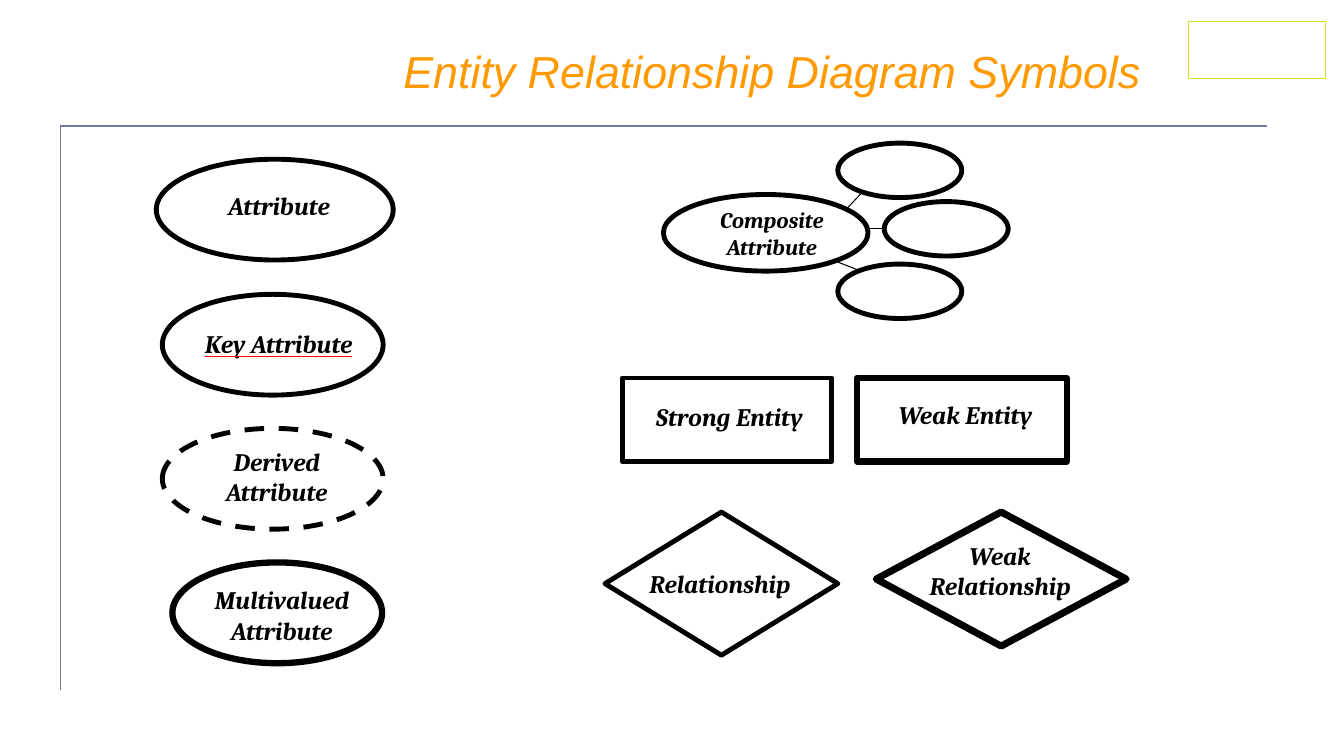
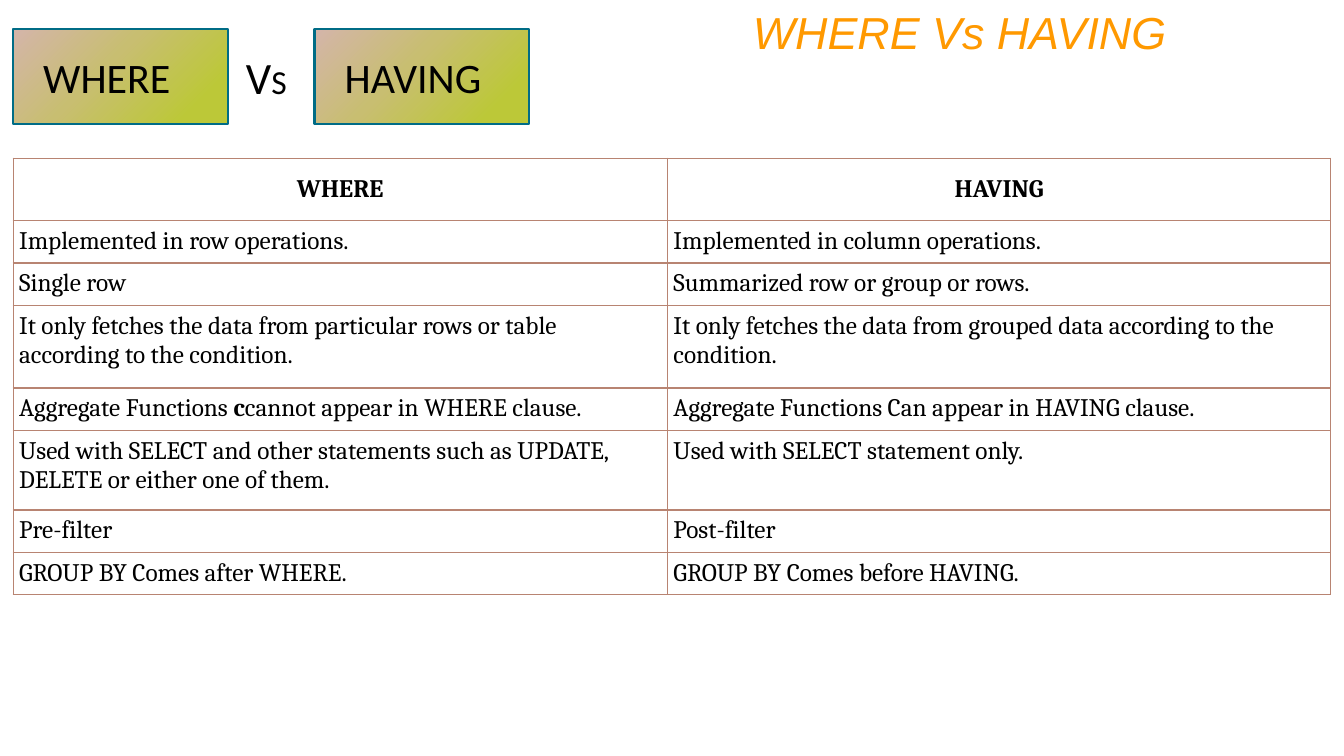
"""Build two slides: ER diagram symbols and a WHERE versus HAVING comparison."""
from lxml.etree import SubElement
from pptx import Presentation
from pptx.dml.color import RGBColor
from pptx.enum.dml import MSO_LINE
from pptx.enum.shapes import MSO_CONNECTOR, MSO_SHAPE
from pptx.enum.text import MSO_ANCHOR, PP_ALIGN
from pptx.oxml import parse_xml
from pptx.oxml.ns import nsdecls, qn
from pptx.util import Inches, Pt

BLACK, WHITE, ORANGE = "000000", "FFFFFF", "FF9900"
FRAME, BADGE, TEAL, GRID = "727CA3", "D9DD21", "006C86", "B88472"


def write(frame, texts, size, font, colour=BLACK, align=PP_ALIGN.LEFT, bold=False, italic=False):
    """Fill a text frame with one paragraph of runs and return the runs."""
    frame.word_wrap = True
    paragraph = frame.paragraphs[0]
    paragraph.alignment = align
    runs = []
    for text in texts:
        run = paragraph.add_run()
        run.text = text
        run.font.size, run.font.name = Pt(size), font
        run.font.bold, run.font.italic = bold, italic
        run.font.color.rgb = RGBColor.from_string(colour)
        runs.append(run)
    return runs


def add_symbol(slide, kind, box, weight, colour=BLACK):
    """Add a white outlined shape."""
    symbol = slide.shapes.add_shape(kind, *map(Inches, box))
    symbol.shadow.inherit = False
    symbol.fill.solid()
    symbol.fill.fore_color.rgb = RGBColor.from_string(WHITE)
    symbol.line.color.rgb = RGBColor.from_string(colour)
    symbol.line.width = Pt(weight)
    return symbol


deck = Presentation()
deck.slide_width, deck.slide_height = Inches(13.33), Inches(7.5)

slides = []
for title, box in [
    ("Entity Relationship Diagram Symbols", (1.92, 0.38, 9.5, 0.71)),
    ("WHERE Vs HAVING", (1.67, 0, 10, 0.64)),
]:
    slide = deck.slides.add_slide(deck.slide_layouts[6])
    heading = slide.shapes.add_textbox(*map(Inches, box))
    write(heading.text_frame, [title], 32, "Arial", ORANGE, PP_ALIGN.RIGHT, italic=True)
    slides.append(slide)
symbols_slide, clauses_slide = slides

OVAL, BOX, DIAMOND = MSO_SHAPE.OVAL, MSO_SHAPE.RECTANGLE, MSO_SHAPE.FLOWCHART_DECISION
labelled_symbols = [
    ("Attribute", 18, (1.99, 1.84, 1.56, 0.4), OVAL, (1.55, 1.58, 2.35, 1), 3.5),
    ("Key Attribute", 18, (1.86, 3.21, 1.81, 0.4), OVAL, (1.61, 2.92, 2.19, 1), 3.5),
    ("Derived Attribute", 18, (2.02, 4.38, 1.45, 0.71), OVAL, (1.61, 4.25, 2.19, 1), 3.5),
    ("Multivalued Attribute", 18, (2, 5.75, 1.59, 0.71), OVAL, (1.71, 5.58, 2.08, 1), 4.5),
    ("Composite Attribute", 16, (6.98, 2, 1.35, 0.64), OVAL, (6.58, 1.93, 2.03, 0.76), 3.5),
    ("Strong Entity", 18, (6.3, 3.93, 1.87, 0.4), BOX, (6.17, 3.75, 2.08, 0.83), 3.5),
    ("Weak Entity", 18, (8.73, 3.91, 1.69, 0.4), BOX, (8.5, 3.75, 2.08, 0.83), 4.5),
    ("Relationship", 18, (6.13, 5.59, 2.02, 0.35), DIAMOND, (6, 5.08, 2.31, 1.42), 3.5),
    ("Weak Relationship", 18, (8.86, 5.31, 2.12, 0.61), DIAMOND, (8.69, 5.08, 2.48, 1.33), 5),
]
for name, size, label_box, kind, box, weight in labelled_symbols:
    symbol = add_symbol(symbols_slide, kind, box, weight)
    label = symbols_slide.shapes.add_textbox(*map(Inches, label_box))
    run = write(label.text_frame, [name], size, "Cambria", align=PP_ALIGN.CENTER,
                bold=True, italic=True)[0]
    if name == "Derived Attribute":
        symbol.line.dash_style = MSO_LINE.DASH
    if name == "Key Attribute":
        run.font.underline = True
        run.font.fill._xPr.find(qn("a:solidFill")).addnext(parse_xml(
            f'<a:uFill {nsdecls("a")}><a:solidFill><a:srgbClr val="FF0000"/></a:solidFill></a:uFill>'))

for left, top in [(8.77, 2), (8.31, 1.42), (8.31, 2.62)]:
    add_symbol(symbols_slide, OVAL, (left, top, 1.23, 0.54), 3.5)

for start, end, colour, weight in [
    ((8.39, 2.08), (8.54, 1.92), BLACK, 0.75),
    ((8.6, 2.27), (8.75, 2.27), BLACK, 0.75),
    ((8.54, 2.69), (8.31, 2.6), BLACK, 0.75),
    ((0.6, 1.25), (0.6, 6.85), FRAME, 1),
    ((0.6, 1.25), (12.57, 1.25), FRAME, 1),
]:
    rule = symbols_slide.shapes.add_connector(
        MSO_CONNECTOR.STRAIGHT, *map(Inches, start + end))
    rule.line.color.rgb = RGBColor.from_string(colour)
    rule.line.width = Pt(weight)
    SubElement(rule._element.spPr, qn("a:effectLst"))

add_symbol(symbols_slide, BOX, (11.79, 0.21, 1.36, 0.57), 0.75, BADGE)

comparison = [
    (["WHERE"], ["HAVING"]),
    (["Implemented in row operations."], ["Implemented in column operations."]),
    (["Single row"], ["Summarized row or group or rows."]),
    (["It only fetches the data from particular rows or table according to the condition."],
     ["It only fetches the data from grouped data according to the condition."]),
    (["Aggregate Functions ", "c", "cannot appear in WHERE clause."],
     ["Aggregate Functions Can appear in HAVING clause."]),
    (["Used with SELECT and other statements such as UPDATE, DELETE or either one of them."],
     ["Used with SELECT statement only."]),
    (["Pre-filter"], ["Post-filter"]),
    (["GROUP BY Comes after WHERE."], ["GROUP BY Comes before HAVING."]),
]
row_heights = [0.62, 0.42, 0.42, 0.82, 0.42, 0.79, 0.42, 0.42]
table = clauses_slide.shapes.add_table(
    len(comparison), 2, Inches(0.13), Inches(1.57), Inches(13.07), Inches(4.32)).table
for column, width in zip(table.columns, [6.49, 6.58]):
    column.width = Inches(width)
for row_index, (texts_by_clause, height) in enumerate(zip(comparison, row_heights)):
    table.rows[row_index].height = Inches(height)
    is_header = row_index == 0
    for column_index, texts in enumerate(texts_by_clause):
        cell = table.cell(row_index, column_index)
        cell.margin_left = cell.margin_right = Inches(0.06)
        cell.margin_top = cell.margin_bottom = Inches(0.06)
        cell.vertical_anchor = MSO_ANCHOR.MIDDLE if is_header else MSO_ANCHOR.TOP
        runs = write(cell.text_frame, texts, 18, "Cambria", bold=is_header,
                     align=PP_ALIGN.CENTER if is_header else PP_ALIGN.LEFT)
        if len(runs) > 1:
            runs[1].font.bold = True
        properties = cell._tc.get_or_add_tcPr()
        for side in ("lnL", "lnR", "lnT", "lnB"):
            properties.append(parse_xml(
                f'<a:{side} {nsdecls("a")} w="{Pt(1)}"><a:solidFill>'
                f'<a:srgbClr val="{GRID}"/></a:solidFill></a:{side}>'))
        cell.fill.solid()
        cell.fill.fore_color.rgb = RGBColor.from_string(WHITE)

stops = "".join(
    f'<a:gs pos="{position * 1000}"><a:srgbClr val="{colour}"/></a:gs>'
    for position, colour in [(16, "BCC838"), (58, "C8BE71"), (100, "D4B5AA")])
for clause, left, label_width in [("WHERE", 0.13, 1.62), ("HAVING", 3.12, 1.75)]:
    panel = add_symbol(clauses_slide, BOX, (left, 0.29, 2.13, 0.94), 1.5, TEAL)
    properties = panel._element.spPr
    properties.replace(properties.find(qn("a:solidFill")), parse_xml(
        f'<a:gradFill {nsdecls("a")} rotWithShape="1"><a:gsLst>{stops}</a:gsLst>'
        '<a:lin ang="13500000" scaled="0"/></a:gradFill>'))
    label = clauses_slide.shapes.add_textbox(
        Inches(left + 0.2), Inches(0.46), Inches(label_width), Inches(0.61))
    write(label.text_frame, [clause], 30, "Calibri")

versus = clauses_slide.shapes.add_textbox(*map(Inches, (2.34, 0.44, 0.82, 0.64)))
write(versus.text_frame, ["V", "S"], 32, "Calibri")[1].font.size = Pt(24)

deck.save("out.pptx")
